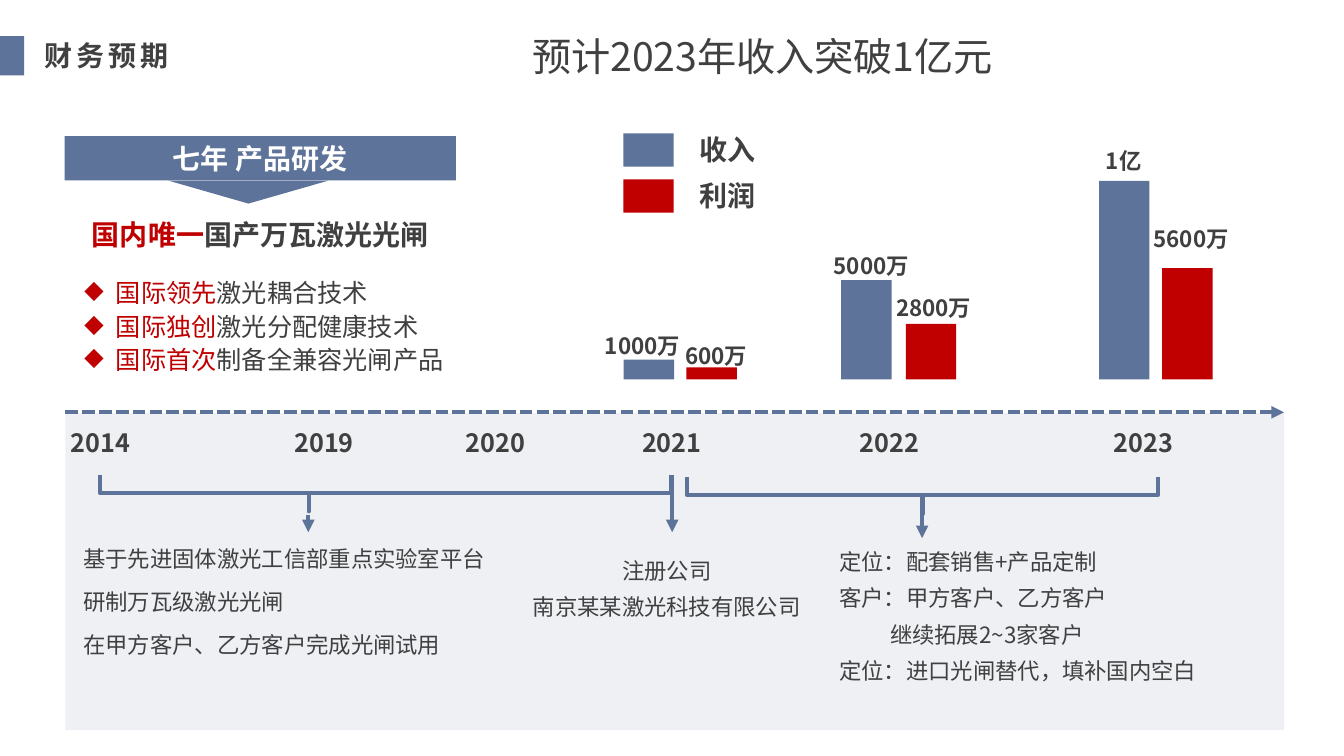
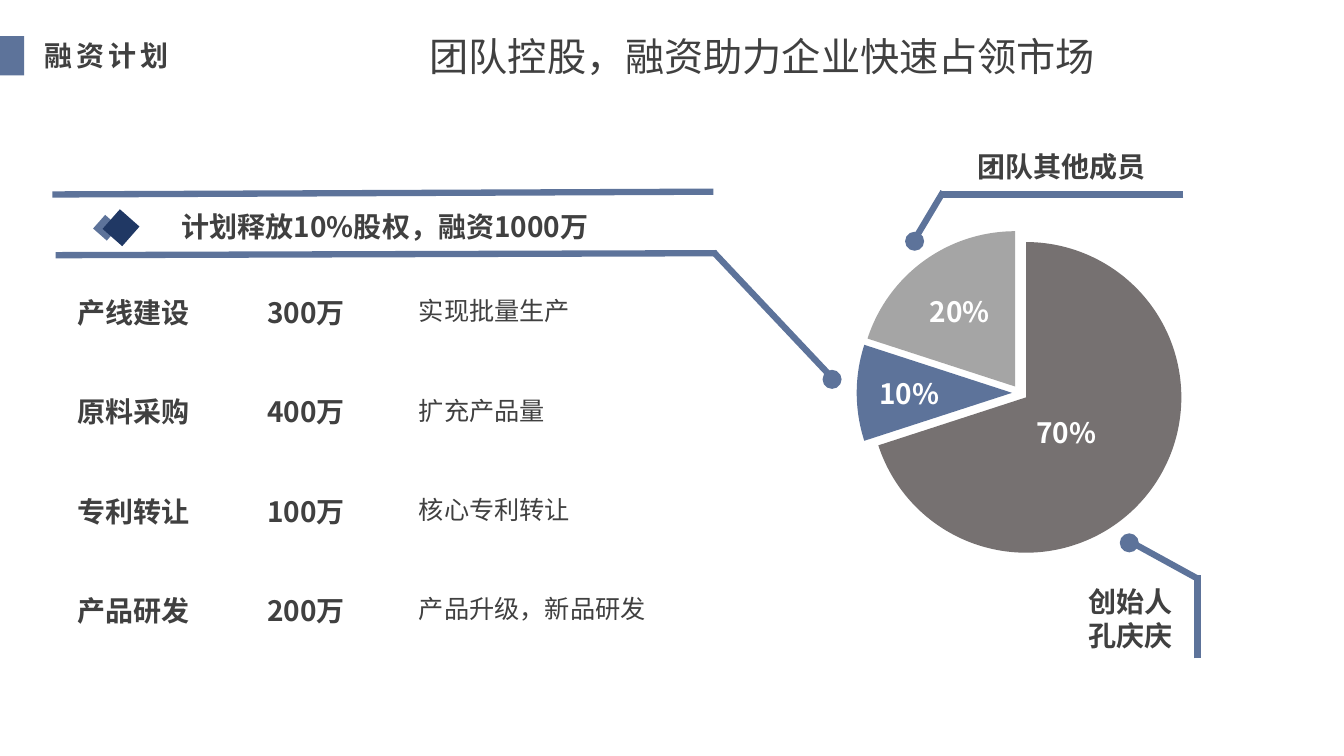
"""Build two slides: the revenue forecast timeline and the financing plan."""
import dataclasses

import lxml.etree
import pptx
import pptx.chart.data
import pptx.dml.color
import pptx.enum.chart
import pptx.enum.dml
import pptx.enum.shapes
import pptx.enum.text
import pptx.oxml.ns
import pptx.util

Cm, Pt = pptx.util.Cm, pptx.util.Pt
RGB = pptx.dml.color.RGBColor.from_string
SHAPE = pptx.enum.shapes.MSO_SHAPE
LEFT = pptx.enum.text.PP_ALIGN.LEFT
CENTER = pptx.enum.text.PP_ALIGN.CENTER
qn = pptx.oxml.ns.qn


@dataclasses.dataclass(frozen=True)
class Theme:
    blue: str = "5D739A"
    navy: str = "203864"
    red: str = "C00000"
    ink: str = "404040"
    white: str = "FFFFFF"
    dark_gray: str = "767171"
    light_gray: str = "A5A5A5"
    title_font: str = "Noto Sans CJK JP"
    font: str = "Noto Sans CJK SC"
    title: int = 28
    heading: int = 20
    label: int = 18
    body: int = 16
    chart: int = 10
    thin: float = 3
    thick: float = 4.5


theme = Theme()


def add_block(slide, kind, box, fill=None, rotation=0, adjustments=()):
    """Add a filled shape, or an outlined one when no fill is given."""
    block = slide.shapes.add_shape(kind, *map(Cm, box))
    block.shadow.inherit = False
    block.rotation = rotation
    for index, value in enumerate(adjustments):
        block.adjustments[index] = value
    if fill:
        block.fill.solid()
        block.fill.fore_color.rgb = RGB(fill)
        block.line.fill.background()
    else:
        block.fill.background()
        block.line.color.rgb = RGB(theme.blue)
        block.line.width = Pt(theme.thin)
    return block


def add_text(slide, box, paragraphs, size, bold=False, color=theme.ink, align=CENTER,
             spacing=None, font=theme.font, margins=(0.25, 0.13), tracking=0, host=None):
    """Write paragraphs, each a string or a list of (text, colour) runs."""
    host = host or slide.shapes.add_textbox(*map(Cm, box))
    frame = host.text_frame
    side, edge = map(Cm, margins)
    frame_format = {"word_wrap": True, "margin_left": side, "margin_right": side,
                    "margin_top": edge, "margin_bottom": edge,
                    "auto_size": pptx.enum.text.MSO_AUTO_SIZE.SHAPE_TO_FIT_TEXT}
    for name, value in frame_format.items():
        setattr(frame, name, value)
    for index, content in enumerate(paragraphs):
        paragraph = frame.add_paragraph() if index else frame.paragraphs[0]
        paragraph.alignment = align
        paragraph.line_spacing = Pt(spacing) if spacing else None
        for words, run_color in [(content, color)] if isinstance(content, str) else content:
            run = paragraph.add_run()
            run.text = words
            run.font.color.rgb = RGB(run_color)
            for name, value in {"size": Pt(size), "bold": bold, "name": font}.items():
                setattr(run.font, name, value)
            properties = run._r.get_or_add_rPr()
            east_asian = lxml.etree.SubElement(properties, qn("a:ea"))
            east_asian.set("typeface", font)
            if tracking:
                properties.set("spc", str(tracking * 100))
    return frame


deck = pptx.Presentation()
deck.slide_width, deck.slide_height = Cm(33.87), Cm(19.05)

slides = []
for section, title in [("财务预期", "预计2023年收入突破1亿元"),
                       ("融资计划", "团队控股，融资助力企业快速占领市场")]:
    slide = deck.slides.add_slide(deck.slide_layouts[6])
    add_block(slide, SHAPE.RECTANGLE, (0, 0.91, 0.61, 0.99), theme.blue)
    add_text(slide, (0.86, 0.84, 3.76, 1.12), [section], theme.heading, True,
             align=LEFT, tracking=3)
    add_text(slide, (7.24, 0.63, 23.95, 1.55), [title], theme.title,
             font=theme.title_font, margins=(0.33, 0.18))
    slides.append(slide)
forecast, financing = slides

panel = add_block(forecast, SHAPE.RECTANGLE, (1.65, 10.41, 30.71, 7.99), theme.blue)
panel_color = panel.fill._xPr.find(".//" + qn("a:srgbClr"))
lxml.etree.SubElement(panel_color, qn("a:alpha")).set("val", "10000")

banner_box = (1.63, 3.43, 9.86, 1.12)
banner = add_block(forecast, SHAPE.RECTANGLE, banner_box, theme.blue)
add_text(forecast, banner_box, ["七年 产品研发"], theme.heading, True, theme.white, host=banner)
add_block(forecast, SHAPE.ISOSCELES_TRIANGLE, (4.24, 4.55, 4.04, 0.58), theme.blue, 180)
add_text(forecast, (1.63, 5.36, 9.86, 1.12),
         [[("国内唯一", theme.red), ("国产万瓦激光光闸", theme.ink)]], theme.heading, True)

advantages = add_text(
    forecast, (1.88, 6.78, 12.17, 2.77),
    [[(claim, theme.red), (technology, theme.ink)] for claim, technology in [
        ("国际领先", "激光耦合技术"),
        ("国际独创", "激光分配健康技术"),
        ("国际首次", "制备全兼容光闸产品")]],
    theme.label, align=LEFT, spacing=24)
for advantage in advantages.paragraphs:
    properties = advantage._p.get_or_add_pPr()
    properties.set("marL", str(Cm(0.79)))
    properties.set("indent", str(-Cm(0.79)))
    bullet_color = lxml.etree.SubElement(properties, qn("a:buClr"))
    lxml.etree.SubElement(bullet_color, qn("a:srgbClr")).set("val", theme.red)
    lxml.etree.SubElement(properties, qn("a:buChar")).set("char", "◆")

for measure, color, top in [("收入", theme.blue, 3.36), ("利润", theme.red, 4.52)]:
    add_block(forecast, SHAPE.RECTANGLE, (15.71, top, 1.27, 0.84), color)
    add_text(forecast, (16.82, top - 0.14, 3.02, 1.12), [measure], theme.heading, True)

baseline, cm_per_unit = 9.56, 0.0005
for amount, caption, color, left, caption_left, caption_top in [
        (1000, "1000万", theme.blue, 15.72, 14.68, 8.23),
        (600, "600万", theme.red, 17.3, 16.54, 8.48),
        (5000, "5000万", theme.blue, 21.2, 20.45, 6.22),
        (2800, "2800万", theme.red, 22.83, 22.02, 7.29),
        (10000, "1亿", theme.blue, 27.7, 26.81, 3.58),
        (5600, "5600万", theme.red, 29.29, 28.51, 5.54)]:
    height = amount * cm_per_unit
    add_block(forecast, SHAPE.RECTANGLE, (left, baseline - height, 1.27, height), color)
    add_text(forecast, (caption_left, caption_top, 3.02, 0.94), [caption], theme.body, True)

for year, left in [("2014", 1.02), ("2019", 6.66), ("2020", 10.97),
                   ("2021", 15.42), ("2022", 20.9), ("2023", 27.31)]:
    add_text(forecast, (left, 10.64, 3.02, 1.02), [year], theme.label, True)

for period, tip in [((9.27, 5.23, 0.91, 14.4), 0.365), ((22.78, 6.55, 0.94, 11.86), 0.5)]:
    add_block(forecast, SHAPE.LEFT_BRACE, period, rotation=270, adjustments=(0, tip))

for row, milestone in enumerate(["基于先进固体激光工信部重点实验室平台",
                                 "研制万瓦级激光光闸",
                                 "在甲方客户、乙方客户完成光闸试用"]):
    add_text(forecast, (1.85, 13.61 + 1.08 * row, 10.67, 0.94), [milestone],
             theme.body, align=LEFT)
add_text(forecast, (13.11, 13.67, 7.39, 2.01), ["注册公司", "南京某某激光科技有限公司"],
         theme.body, spacing=26)
market = add_text(forecast, (20.9, 13.44, 10.03, 3.86),
                  ["定位：配套销售+产品定制", "客户：甲方客户、乙方客户",
                   "继续拓展2~3家客户", "定位：进口光闸替代，填补国内空白"],
                  theme.body, align=LEFT, spacing=26)
market.paragraphs[2]._p.get_or_add_pPr().set("marL", str(Cm(1.28)))

for left, side, color in [(2.44, 0.46, theme.blue), (2.72, 0.66, theme.navy)]:
    add_block(financing, SHAPE.RECTANGLE, (left, 5.74 - side / 2, side, side), color, 41.4)
add_text(financing, (3.89, 5.16, 11.63, 1.12), ["计划释放10%股权，融资1000万"],
         theme.heading, True)

for row, (purpose, amount, outcome) in enumerate([
        ("产线建设", "300万", "实现批量生产"),
        ("原料采购", "400万", "扩充产品量"),
        ("专利转让", "100万", "核心专利转让"),
        ("产品研发", "200万", "产品升级，新品研发")]):
    top = 7.32 + 2.5 * row
    add_text(financing, (1.7, top, 4.09, 1.12), [purpose], theme.heading, True, align=LEFT)
    add_text(financing, (6.48, top, 3.51, 1.12), [amount], theme.heading, True, align=LEFT)
    add_text(financing, (10.31, top, 7.67, 1.02), [outcome], theme.label, align=LEFT)

equity_data = pptx.chart.data.CategoryChartData()
equity_data.categories = ["1", "2", "3"]
equity_data.add_series("Series 1", (70, 10, 20))
equity = financing.shapes.add_chart(pptx.enum.chart.XL_CHART_TYPE.PIE,
                                    *map(Cm, (20.9, 5.44, 9.6, 8.92)), equity_data).chart
equity.has_legend = equity.has_title = False
equity.font.name, equity.font.size = theme.font, Pt(theme.chart)
equity.plots[0].vary_by_categories = True
shares = equity.plots[0].series[0]
for index, color in enumerate([theme.dark_gray, theme.blue, theme.light_gray]):
    share_fill = shares.points[index].format.fill
    share_fill.solid()
    share_fill.fore_color.rgb = RGB(color)
explosion = lxml.etree.Element(qn("c:explosion"))
explosion.set("val", "5")
shares._element.find(qn("c:dPt")).addprevious(explosion)

for share, left, top in [("70%", 25.12, 10.34), ("20%", 22.43, 7.29), ("10%", 21.16, 9.35)]:
    add_text(financing, (left, top, 3.51, 1.12), [share], theme.heading, True, theme.white)
for left, top in [(28.22, 13.44), (20.73, 9.32), (22.81, 5.84)]:
    add_block(financing, SHAPE.OVAL, (left, top, 0.48, 0.48), theme.blue)
add_text(financing, (24.18, 3.63, 5.16, 1.12), ["团队其他成员"], theme.heading, True)
add_text(financing, (26.37, 14.61, 4.24, 1.96), ["创始人", "孔庆庆"], theme.heading, True)

time_axis = (1.65, 10.39, 32.36, 10.39)
arrows = [time_axis, (7.77, 12.98, 7.77, 13.41), (23.24, 12.7, 23.24, 13.56),
          (16.94, 12.04, 16.94, 13.41)]
leaders = [(28.65, 13.74, 30.18, 14.58), (30.18, 16.59, 30.18, 14.5),
           (23.77, 4.83, 23.06, 6.02), (29.82, 4.9, 23.7, 4.9),
           (20.98, 9.53, 17.98, 6.35), (18.06, 6.38, 1.4, 6.43),
           (17.98, 4.83, 1.32, 4.9)]
for slide, routes, width in [(forecast, arrows, theme.thin), (financing, leaders, theme.thick)]:
    for route in routes:
        connector = slide.shapes.add_connector(pptx.enum.shapes.MSO_CONNECTOR.STRAIGHT,
                                               *map(Cm, route))
        connector.line.color.rgb = RGB(theme.blue)
        connector.line.width = Pt(width)
        if route == time_axis:
            connector.line.dash_style = pptx.enum.dml.MSO_LINE.SQUARE_DOT
        properties = connector._element.spPr
        if slide is forecast:
            outline = properties.find(qn("a:ln"))
            lxml.etree.SubElement(outline, qn("a:tailEnd")).set("type", "triangle")
        lxml.etree.SubElement(properties, qn("a:effectLst"))

deck.save("out.pptx")
